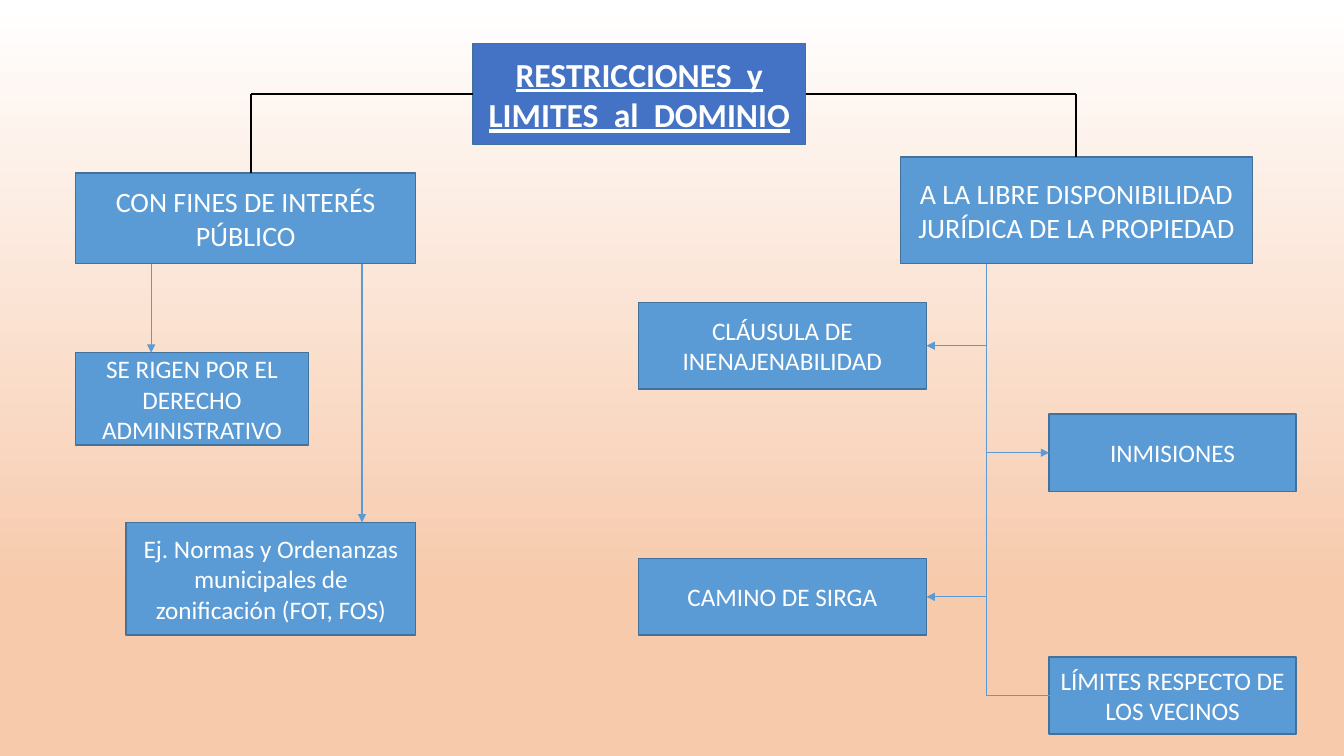
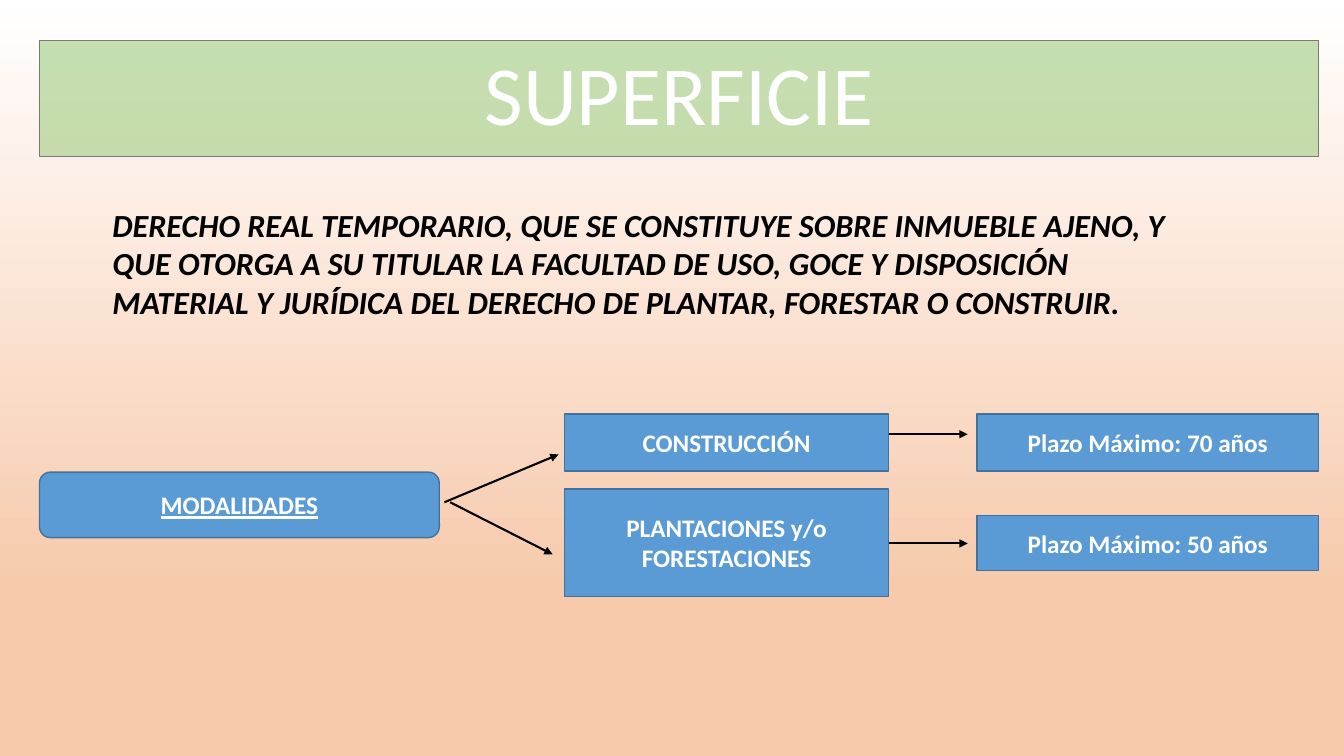
from dataclasses import dataclass

from lxml import etree
from pptx import Presentation
from pptx.dml.color import RGBColor
from pptx.enum.shapes import MSO_CONNECTOR, MSO_SHAPE
from pptx.enum.text import MSO_ANCHOR, PP_ALIGN
from pptx.oxml.ns import qn
from pptx.util import Inches, Pt

RECT, ROUNDED = MSO_SHAPE.RECTANGLE, MSO_SHAPE.ROUNDED_RECTANGLE
STRAIGHT = MSO_CONNECTOR.STRAIGHT
LEFT, CENTER = PP_ALIGN.LEFT, PP_ALIGN.CENTER
MIDDLE = MSO_ANCHOR.MIDDLE

# The slide is a grid of square cells, twelve to the inch.
COLUMNS, ROWS = 160, 90
CELL = Inches(1) / 12

FONT = "Calibri"
WHITE, BLACK, PEACH = "FFFFFF", "000000", "F7CAAC"
BLUE, ROYAL_BLUE, BLUE_EDGE = "5B9BD5", "4472C4", "42719B"
GREEN, GREY = "A8D08C", "787878"


@dataclass(frozen=True)
class Box:
    """A labelled box, placed in grid columns and rows."""
    text: str
    left: float
    top: float
    width: float
    height: float
    size: int = 18
    bold: bool = False
    underline: bool = False
    fill: str = BLUE
    edge: str = BLUE_EDGE
    opacity: int = 100
    outline: int = RECT
    line_spacing: float = 1.0

    @property
    def right(self) -> float:
        return self.left + self.width

    @property
    def bottom(self) -> float:
        return self.top + self.height

    @property
    def center_row(self) -> float:
        return self.top + self.height / 2


@dataclass(frozen=True)
class Link:
    """A line between two (column, row) points."""
    start: tuple[float, float]
    end: tuple[float, float]
    color: str = BLACK
    weight: float = 1.5
    arrow: bool = True


def cells(*counts: float) -> list[int]:
    return [round(count * CELL) for count in counts]


def rgb(color: str) -> RGBColor:
    return RGBColor.from_string(color)


def write(frame, text: str, *, size: float, color: str = WHITE, bold: bool = False,
          italic: bool = False, underline: bool = False, align=CENTER,
          line_spacing: float = 1.0) -> None:
    frame.word_wrap = True
    paragraph = frame.paragraphs[0]
    paragraph.alignment = align
    paragraph.line_spacing = line_spacing
    run = paragraph.add_run()
    run.text = text
    font = run.font
    font.name, font.size = FONT, Pt(size)
    font.bold, font.italic, font.underline = bold, italic, underline
    font.color.rgb = rgb(color)


def draw_box(slide, box: Box) -> None:
    shape = slide.shapes.add_shape(
        box.outline, *cells(box.left, box.top, box.width, box.height))
    shape.shadow.inherit = False
    shape.fill.solid()
    shape.fill.fore_color.rgb = rgb(box.fill)
    if box.opacity < 100:
        color = shape._element.spPr.find(f"{qn('a:solidFill')}/{qn('a:srgbClr')}")
        etree.SubElement(color, qn("a:alpha"), val=str(box.opacity * 1000))
    shape.line.color.rgb = rgb(box.edge)
    shape.line.width = Pt(1)
    shape.text_frame.vertical_anchor = MIDDLE
    write(shape.text_frame, box.text, size=box.size, bold=box.bold,
          underline=box.underline, line_spacing=box.line_spacing)


def draw_link(slide, link: Link) -> None:
    line = slide.shapes.add_connector(STRAIGHT, *cells(*link.start, *link.end))
    line.line.color.rgb = rgb(link.color)
    line.line.width = Pt(link.weight)
    properties = line._element.spPr
    if link.arrow:
        etree.SubElement(properties.find(qn("a:ln")), qn("a:tailEnd"), type="triangle")
    etree.SubElement(properties, qn("a:effectLst"))


def draw_diagram(slide, boxes: list[Box], links: list[Link]) -> None:
    for box in boxes:
        draw_box(slide, box)
    for link in links:
        draw_link(slide, link)


def set_background(master) -> None:
    """Fade from white at the top to peach, reached at 78% of the height."""
    fill = master.background.fill
    fill.gradient()
    fill.gradient_angle = 270
    for stop, color, position in zip(fill.gradient_stops, (WHITE, PEACH), (0, 0.78)):
        stop.color.rgb = rgb(color)
        stop.position = position


def build_restrictions(slide) -> None:
    root = Box("RESTRICCIONES  y LIMITES  al  DOMINIO", 56.3, 5.2, 39.6, 12,
               size=24, bold=True, underline=True, fill=ROYAL_BLUE)
    public = Box("CON FINES DE INTERÉS PÚBLICO", 9, 20.6, 40.5, 10.8, size=20)
    administrative = Box("SE RIGEN POR EL DERECHO ADMINISTRATIVO", 9, 42, 27.7, 11)
    zoning = Box("Ej. Normas y Ordenanzas municipales de zonificación (FOT, FOS)",
                 15, 62.2, 34.5, 13.4)
    disposal = Box("A LA LIBRE DISPONIBILIDAD JURÍDICA DE LA PROPIEDAD",
                   107.2, 18.7, 41.9, 12.7, size=20)
    clause = Box("CLÁUSULA DE INENAJENABILIDAD", 76, 36, 34.3, 10.3)
    towpath = Box("CAMINO DE SIRGA", 76, 66.5, 34.3, 9.1)
    nuisances = Box("INMISIONES", 124.9, 49.3, 29.4, 9.2)
    neighbours = Box("LÍMITES RESPECTO DE LOS VECINOS", 124.9, 78.2, 29.4, 9.2)

    links = []
    for branch, edge, column in ((public, root.left, 29.9), (disposal, root.right, 128.1)):
        corner = (column, root.center_row)
        links += [Link((edge, root.center_row), corner, arrow=False),
                  Link(corner, (column, branch.top), arrow=False)]

    thin = {"color": BLUE, "weight": 0.75}
    for target, column in ((administrative, 18), (zoning, 43.1)):
        links.append(Link((column, public.bottom), (column, target.top), **thin))

    trunk = 117.4
    links.append(Link((trunk, disposal.bottom), (trunk, neighbours.center_row),
                      arrow=False, **thin))
    for target, column in ((clause, clause.right), (nuisances, nuisances.left),
                           (towpath, towpath.right), (neighbours, neighbours.left + 1.6)):
        row = target.center_row
        links.append(Link((trunk, row), (column, row), **thin))

    draw_diagram(slide, [root, public, administrative, zoning, disposal, clause,
                         towpath, nuisances, neighbours], links)


def build_surface_right(slide) -> None:
    heading = Box("SUPERFICIE", 4.7, 4.8, 152.3, 13.8, size=60, fill=GREEN,
                  edge=GREY, opacity=66, line_spacing=0.9)
    modes = Box("MODALIDADES", 4.7, 56.2, 47.6, 7.8, bold=True, underline=True,
                outline=ROUNDED)
    building = Box("CONSTRUCCIÓN", 67.2, 49.3, 38.6, 6.8, bold=True)
    planting = Box("PLANTACIONES y/o FORESTACIONES", 67.2, 58.2, 38.6, 12.8, bold=True)
    building_term = Box("Plazo Máximo: 70 años", 116.3, 49.3, 40.7, 6.8, bold=True)
    planting_term = Box("Plazo Máximo: 50 años", 116.3, 61.4, 40.7, 6.5, bold=True)

    links = [Link((52.9, 59.8), (66.5, 54.1)), Link((53.6, 59.8), (65.8, 66))]
    for mode, row in ((building, 51.7), (planting, 64.7)):
        links.append(Link((mode.right, row), (115.2, row)))
    draw_diagram(slide, [heading, modes, building, planting, building_term,
                         planting_term], links)

    definition = slide.shapes.add_textbox(*cells(12.2, 23.2, 133.1, 12.8)).text_frame
    definition.margin_top = definition.margin_bottom = Inches(0.1)
    write(definition,
          "DERECHO REAL TEMPORARIO, QUE SE CONSTITUYE SOBRE INMUEBLE AJENO, Y QUE "
          "OTORGA A SU TITULAR LA FACULTAD DE USO, GOCE Y DISPOSICIÓN MATERIAL Y "
          "JURÍDICA DEL DERECHO DE PLANTAR, FORESTAR O CONSTRUIR.",
          size=23, color=BLACK, bold=True, italic=True, align=LEFT)


def main() -> None:
    prs = Presentation()
    prs.slide_width, prs.slide_height = cells(COLUMNS, ROWS)
    set_background(prs.slide_master)
    blank = prs.slide_layouts[6]
    for build in (build_restrictions, build_surface_right):
        build(prs.slides.add_slide(blank))
    prs.save("out.pptx")


if __name__ == "__main__":
    main()
